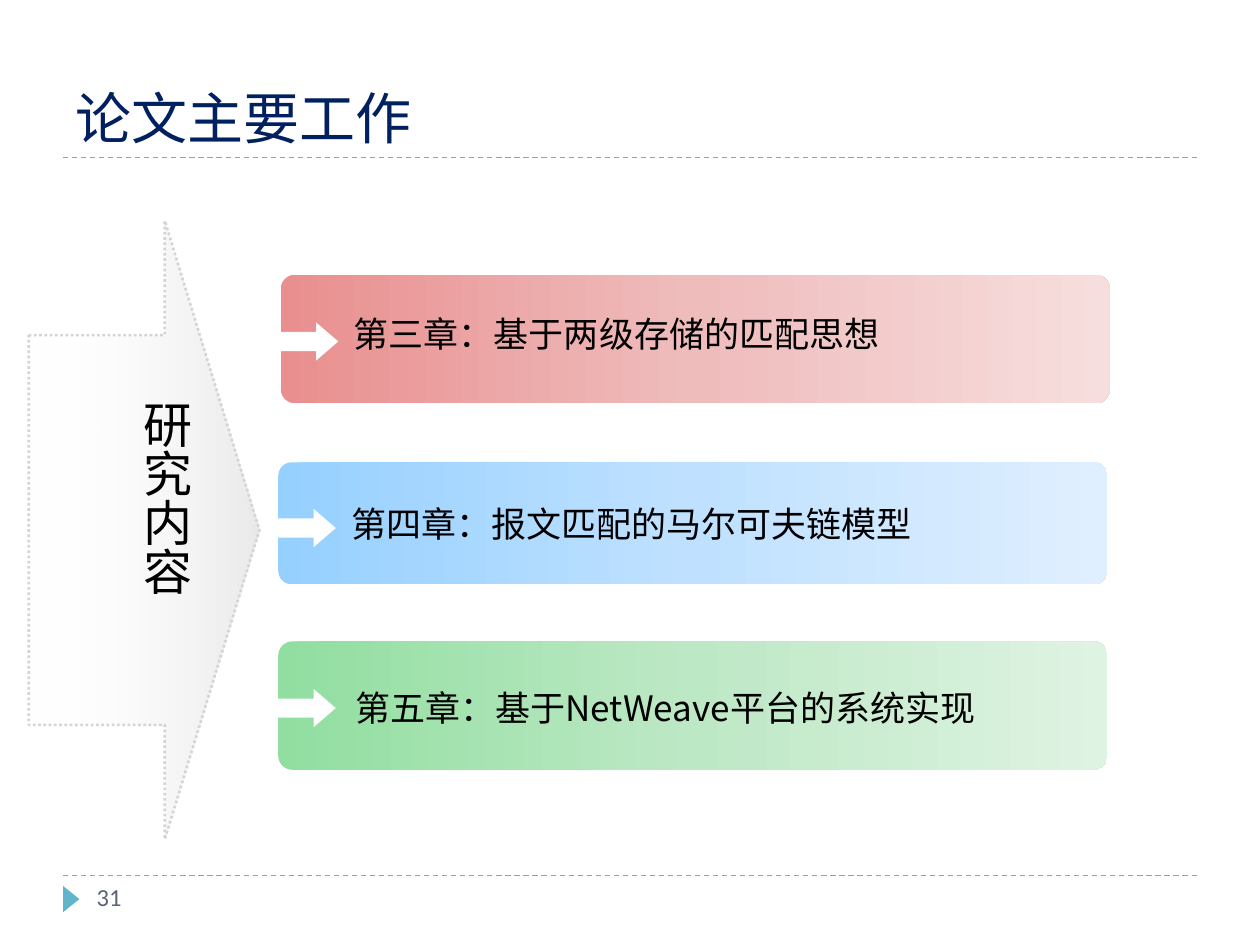
import lxml.etree
import pptx
import pptx.dml.color
import pptx.enum.dml
import pptx.enum.shapes
import pptx.enum.text
import pptx.oxml
import pptx.oxml.ns
import pptx.util

Cm = pptx.util.Cm
SHAPE = pptx.enum.shapes.MSO_SHAPE
DASH = pptx.enum.dml.MSO_LINE
ANCHOR = pptx.enum.text.MSO_ANCHOR
qn = pptx.oxml.ns.qn
CJK = "Noto Sans CJK SC"


def color(hex_value):
    return pptx.dml.color.RGBColor.from_string(hex_value)


def add_text(box, text, size, hex_value, font=CJK, anchor=ANCHOR.TOP):
    frame = slide.shapes.add_textbox(*[Cm(length) for length in box]).text_frame
    frame.word_wrap = True
    frame.vertical_anchor = anchor
    run = frame.paragraphs[0].add_run()
    run.text = text
    run.font.size = pptx.util.Pt(size)
    run.font.name = font
    run.font.color.rgb = color(hex_value)
    east_asian = lxml.etree.SubElement(run.font._element, qn("a:ea"))
    east_asian.set("typeface", font)
    return frame


deck = pptx.Presentation()
deck.slide_width = Cm(25.4)
deck.slide_height = Cm(19.05)
slide = deck.slides.add_slide(deck.slide_layouts[6])

for rule_y in (17.65, 3.18):
    rule = slide.shapes.add_connector(
        pptx.enum.shapes.MSO_CONNECTOR.STRAIGHT,
        Cm(1.27), Cm(rule_y), Cm(24.13), Cm(rule_y))
    rule.line.color.rgb = color("60B5CC")
    rule.line.width = pptx.util.Pt(0.75)
    rule.line.dash_style = DASH.DASH
    lxml.etree.SubElement(rule._element.spPr, qn("a:effectLst"))

page_marker = slide.shapes.add_shape(
    SHAPE.ISOSCELES_TRIANGLE, Cm(1.17), Cm(17.96), Cm(0.53), Cm(0.33))
page_marker.rotation = 90
page_marker.shadow.inherit = False
page_marker.fill.solid()
page_marker.fill.fore_color.rgb = color("60B5CC")
page_marker.line.fill.background()

add_text((1.27, 0.43, 22.86, 2.74), "论文主要工作", 32, "002060", anchor=ANCHOR.BOTTOM)
add_text((1.7, 17.65, 5.51, 1.02), "31", 14, "5A6378", font="Calibri")

chapters = [
    ("第三章：基于两级存储的匹配思想", 5.66, 5.54, 2.59, 6.5, 6.88, 6.17,
     ("E98F8F", "EFBCBC", "F7DEDE")),
    ("第四章：报文匹配的马尔可夫链模型", 5.61, 9.32, 2.46, 10.26, 6.83, 10.01,
     ("96D0FF", "BFE1FF", "E0EFFF")),
    ("第五章：基于NetWeave平台的系统实现", 5.61, 12.93, 2.59, 13.89, 6.91, 13.72,
     ("91DEA0", "BDE8C5", "DFF3E3")),
]
for heading, left, top, height, pointer_top, text_left, text_top, shades in chapters:
    bar = slide.shapes.add_shape(
        SHAPE.ROUNDED_RECTANGLE, Cm(left), Cm(top), Cm(16.71), Cm(height))
    bar.adjustments[0] = 0.11
    bar.shadow.inherit = False
    bar.line.fill.background()
    bar.fill.gradient()
    bar.fill.gradient_angle = 0
    stops = bar._element.spPr.find(qn("a:gradFill")).find(qn("a:gsLst"))
    stops.clear()
    for position, shade in zip((0, 50000, 100000), shades):
        stop = lxml.etree.SubElement(stops, qn("a:gs"), pos=str(position))
        lxml.etree.SubElement(stop, qn("a:srgbClr"), val=shade)

    pointer = slide.shapes.add_shape(
        SHAPE.RIGHT_ARROW, Cm(left - 0.16), Cm(pointer_top), Cm(1.32), Cm(0.77))
    pointer.adjustments[1] = 0.58
    pointer.shadow.inherit = False
    pointer.fill.solid()
    pointer.fill.fore_color.rgb = color("FFFFFF")
    pointer.line.fill.background()

    add_text((text_left, text_top, 14.6, 1.12), heading, 20, "000000")

research = slide.shapes.add_shape(
    SHAPE.RIGHT_ARROW, Cm(0.58), Cm(4.45), Cm(4.65), Cm(12.47))
research.adjustments[0] = 0.63
research.adjustments[1] = 0.41
research.shadow.inherit = False
research.fill.gradient()
research.fill.gradient_angle = 0
stops = research._element.spPr.find(qn("a:gradFill")).find(qn("a:gsLst"))
stops.clear()
for position, shade, opacity in ((0, "FFFFFF", 0), (100000, "D4D4D6", 50000)):
    stop = lxml.etree.SubElement(stops, qn("a:gs"), pos=str(position))
    tone = lxml.etree.SubElement(stop, qn("a:srgbClr"), val=shade)
    lxml.etree.SubElement(tone, qn("a:alpha"), val=str(opacity))
research.line.color.rgb = color("D4D4D6")
research.line.width = pptx.util.Pt(1.5)
research.line.dash_style = DASH.ROUND_DOT

research_label = add_text((2.36, 7.59, 1.7, 6.35), "研究内容", 28, "000000")
research_label.margin_top = Cm(0.48)
research_label._element.find(qn("a:bodyPr")).set("vert", "eaVert")

deck.save("out.pptx")
